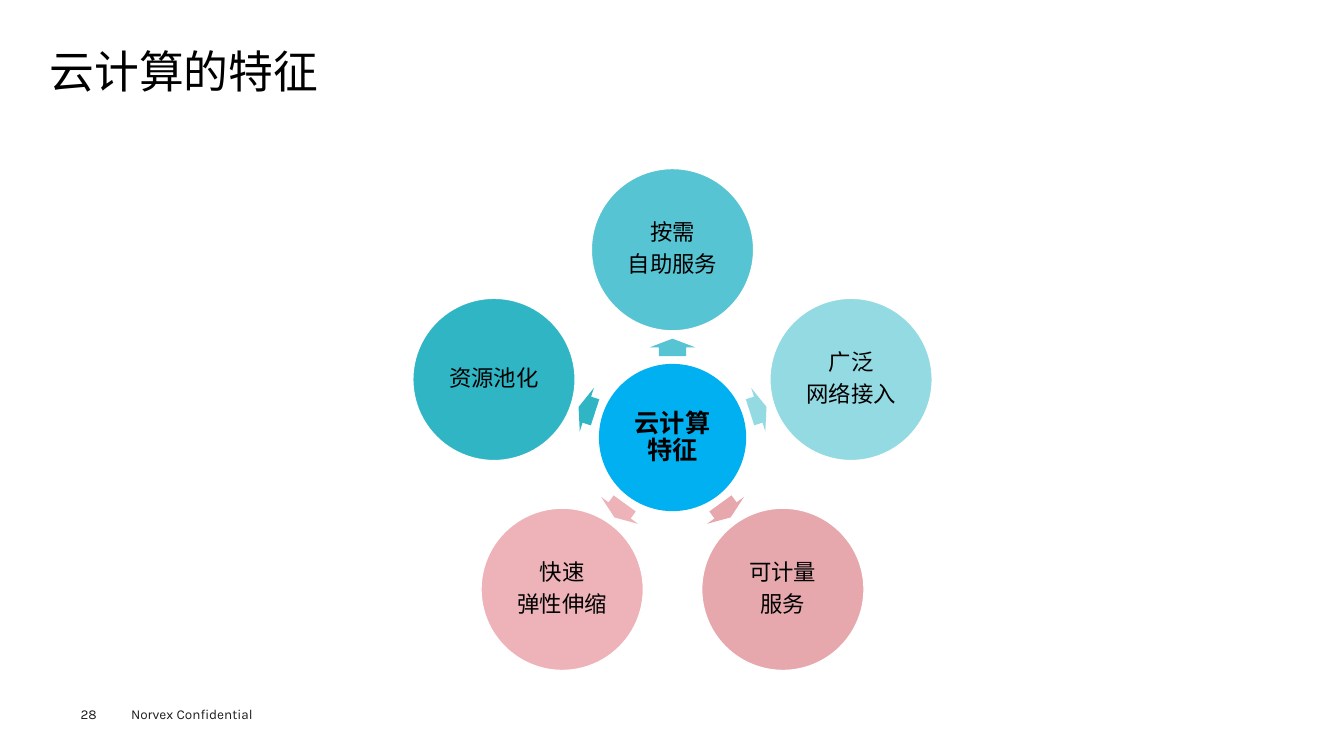
from math import cos, radians, sin

from pptx import Presentation
from pptx.dml.color import RGBColor
from pptx.enum.shapes import MSO_SHAPE
from pptx.enum.text import MSO_ANCHOR, PP_ALIGN
from pptx.util import Pt

OVAL, ARROW = MSO_SHAPE.OVAL, MSO_SHAPE.RIGHT_ARROW
TOP, MIDDLE = MSO_ANCHOR.TOP, MSO_ANCHOR.MIDDLE
LEFT, CENTER = PP_ALIGN.LEFT, PP_ALIGN.CENTER
TITLE_ONLY = 5

COLORS = {
    "black": "000000", "footer": "1D1D1B", "white": "FFFFFF", "hub": "00B0F0",
    "self_service": "56C4D2", "network": "94DAE2", "metered": "E6A8AD",
    "elastic": "EEB3B8", "pooling": "30B5C5",
}
FEATURES = [  # clockwise from the top
    ("self_service", ["按需", "自助服务"]),
    ("network", ["广泛", "网络接入"]),
    ("metered", ["可计量", "服务"]),
    ("elastic", ["快速", "弹性伸缩"]),
    ("pooling", ["资源池化"]),
]
HUB_SIZE, FEATURE_SIZE = 105.2, 116
ARROW_LENGTH, ARROW_WIDTH = 12.4, 32.6
FEATURE_RADIUS, ARROW_RADIUS = 134.1, 64.4


def rgb(name):
    return RGBColor.from_string(COLORS[name])


def write(frame, lines, size, color="black", bold=False, anchor=TOP,
          align=LEFT, inset=0, spacing=0.9, after=0):
    frame_format = {"word_wrap": True, "vertical_anchor": anchor}
    for side in ("left", "top", "right", "bottom"):
        frame_format[f"margin_{side}"] = Pt(inset)
    for name, value in frame_format.items():
        setattr(frame, name, value)
    for index, line in enumerate(lines):
        paragraph = frame.add_paragraph() if index else frame.paragraphs[0]
        paragraph.text = line
        for name, value in {"alignment": align, "line_spacing": spacing,
                            "space_before": Pt(0), "space_after": Pt(after)}.items():
            setattr(paragraph, name, value)
        for name, value in {"name": "Karla", "size": Pt(size), "bold": bold}.items():
            setattr(paragraph.font, name, value)
        paragraph.font.color.rgb = rgb(color)


def add_centered(slide, kind, x, y, width, height, color):
    """Add a filled shape whose middle lies at x, y."""
    shape = slide.shapes.add_shape(kind, Pt(x - width / 2), Pt(y - height / 2),
                                   Pt(width), Pt(height))
    shape.shadow.inherit = False
    shape.fill.solid()
    shape.fill.fore_color.rgb = rgb(color)
    shape.line.fill.background()
    return shape


def add_title(slide, left, top, width, height):
    title = slide.shapes.title
    for name, value in {"left": left, "top": top, "width": width, "height": height}.items():
        setattr(title, name, Pt(value))
    write(title.text_frame, ["云计算的特征"], 32)


def add_feature_wheel(slide, x, y):
    hub = add_centered(slide, OVAL, x, y, HUB_SIZE, HUB_SIZE, "hub")
    write(hub.text_frame, ["云计算特征"], 18, bold=True,
          anchor=MIDDLE, align=CENTER, inset=2)
    for index, (color, lines) in enumerate(FEATURES):
        degrees = -90 + index * 360 / len(FEATURES)
        dx, dy = cos(radians(degrees)), sin(radians(degrees))
        arrow = add_centered(slide, ARROW, x + ARROW_RADIUS * dx, y + ARROW_RADIUS * dy,
                             ARROW_LENGTH, ARROW_WIDTH, color)
        arrow.rotation = degrees % 360
        arrow.adjustments[0] = 0.6
        arrow.adjustments[1] = 0.5
        feature = add_centered(slide, OVAL, x + FEATURE_RADIUS * dx, y + FEATURE_RADIUS * dy,
                               FEATURE_SIZE, FEATURE_SIZE, color)
        feature.line.color.rgb = rgb("white")
        feature.line.width = Pt(1)
        write(feature.text_frame, lines, 16, anchor=MIDDLE, align=CENTER,
              inset=2, after=5.6)


def add_footer(slide, left, top, height):
    for text, offset, width in (("28", 0, 34), ("Norvex Confidential", 36, 115)):
        box = slide.shapes.add_textbox(Pt(left + offset), Pt(top), Pt(width), Pt(height))
        write(box.text_frame, [text], 9.7, "footer", spacing=1.0)


def main():
    deck = Presentation()
    deck.slide_width, deck.slide_height = Pt(960), Pt(540)
    slide = deck.slides.add_slide(deck.slide_layouts[TITLE_ONLY])
    add_title(slide, 35.3, 35.3, 889, 39)
    add_feature_wheel(slide, 480.4, 312.5)
    add_footer(slide, 57.6, 504, 12)
    deck.save("out.pptx")


if __name__ == "__main__":
    main()
